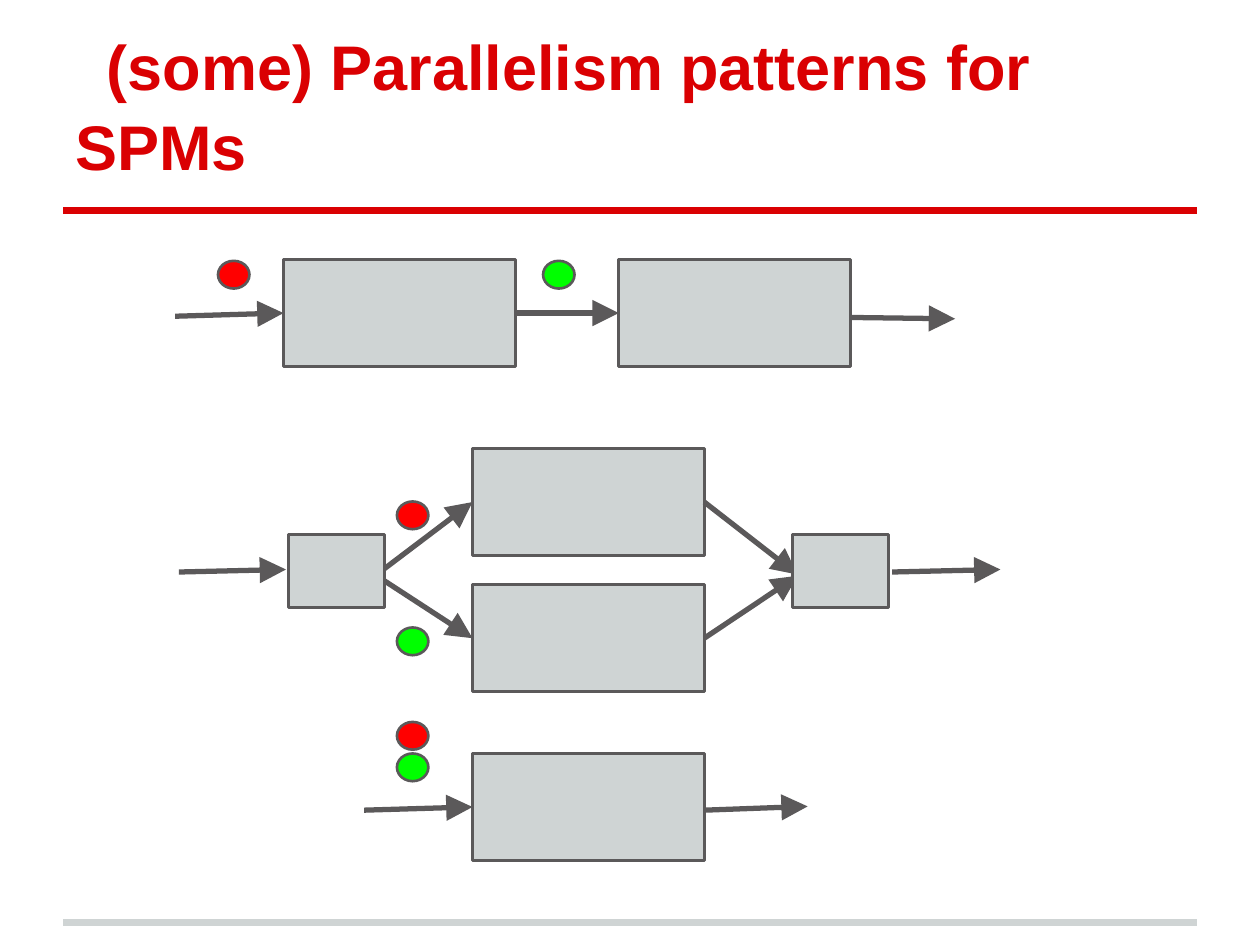
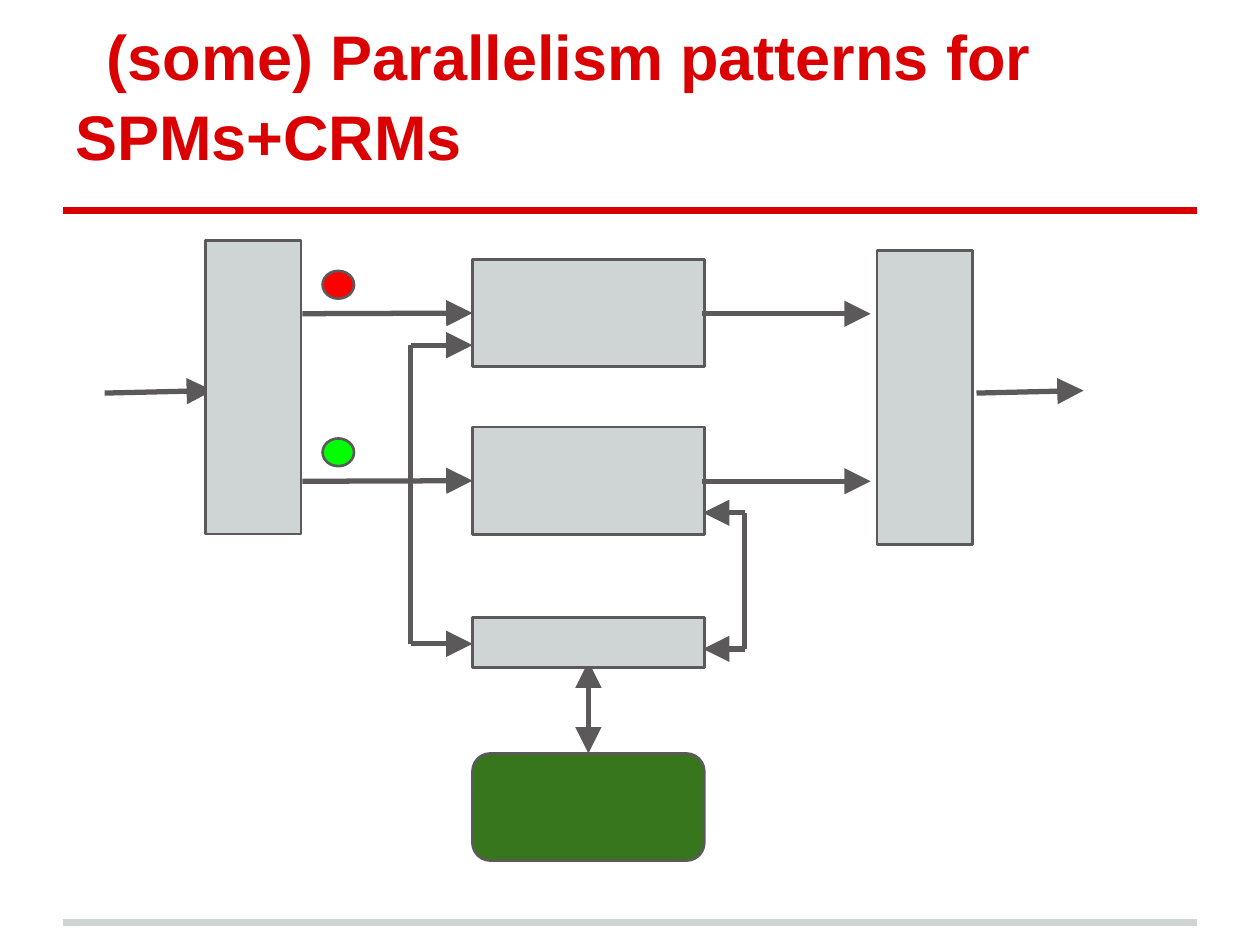
from lxml.etree import SubElement
from pptx import Presentation
from pptx.dml.color import RGBColor
from pptx.enum.shapes import MSO_CONNECTOR, MSO_SHAPE
from pptx.enum.text import MSO_ANCHOR, MSO_AUTO_SIZE, PP_ALIGN
from pptx.oxml.ns import qn
from pptx.util import Inches, Pt

RED = RGBColor(0xDA, 0x00, 0x02)
SILVER = RGBColor(0xCF, 0xD4, 0xD4)
GRAY = RGBColor(0x5B, 0x59, 0x5A)
HOT = RGBColor(0xFF, 0x00, 0x00)
LIME = RGBColor(0x00, 0xFF, 0x00)
GREEN = RGBColor(0x38, 0x76, 0x1D)

LEFT, RIGHT = 1, 3
TOP = 0
STAGE_W, STAGE_H = 1.84, 0.85
GATE_W = 0.76


def add_text(slide, text, x, y, w, h, size=36, color=RED, bold=True, indent=0.25):
    box = slide.shapes.add_textbox(Inches(x), Inches(y), Inches(w), Inches(h))
    frame = box.text_frame
    frame.word_wrap = True
    frame.auto_size = MSO_AUTO_SIZE.SHAPE_TO_FIT_TEXT
    frame.vertical_anchor = MSO_ANCHOR.BOTTOM
    frame.margin_left = frame.margin_right = Inches(0.1)
    frame.margin_top = frame.margin_bottom = Inches(0.1)
    para = frame.paragraphs[0]
    para.alignment = PP_ALIGN.LEFT
    para.line_spacing = 1.05
    props = para._p.get_or_add_pPr()
    props.set("marL", "0")
    props.set("indent", str(Inches(indent)))
    run = para.add_run()
    run.text = text
    font = run.font
    font.name, font.size, font.bold = "Arial", Pt(size), bold
    font.color.rgb = color


def add_box(slide, x, y, w, h, fill=SILVER, kind=MSO_SHAPE.RECTANGLE):
    shape = slide.shapes.add_shape(kind, Inches(x), Inches(y), Inches(w), Inches(h))
    shape.shadow.inherit = False
    shape.fill.solid()
    shape.fill.fore_color.rgb = fill
    shape.line.color.rgb = GRAY
    shape.line.width = Pt(1.5)
    return shape


def add_stage(slide, x, y):
    return add_box(slide, x, y, STAGE_W, STAGE_H)


def add_dot(slide, x, y, fill):
    add_box(slide, x, y, 0.25, 0.22, fill, MSO_SHAPE.OVAL)


def add_line(slide, start, end, color=GRAY, width=3, ends=("tailEnd",)):
    """Draw a line; start and end are each a point or a (shape, side) pair."""
    (x1, y1), (x2, y2) = [p if isinstance(p[0], (int, float)) else (0, 0)
                          for p in (start, end)]
    line = slide.shapes.add_connector(
        MSO_CONNECTOR.STRAIGHT, Inches(x1), Inches(y1), Inches(x2), Inches(y2))
    for point, join in ((start, line.begin_connect), (end, line.end_connect)):
        if not isinstance(point[0], (int, float)):
            join(*point)
    line.line.color.rgb = color
    line.line.width = Pt(width)
    for tag in ends:
        SubElement(line.line._get_or_add_ln(), qn("a:" + tag),
                   type="triangle", w="lg", len="lg")
    SubElement(line._element.spPr, qn("a:effectLst"))


def add_frame(deck, title, top):
    slide = deck.slides.add_slide(deck.slide_layouts[6])
    for y, color in ((7.32, SILVER), (1.67, RED)):
        add_line(slide, (0.5, y), (9.5, y), color, 4, ())
    add_text(slide, title, 0.5, top, 9, 1.25)
    return slide


def add_pipe(slide, x, y):
    """Two stages in a row."""
    first = add_stage(slide, x + 0.86, y)
    second = add_stage(slide, x + 3.52, y)
    add_line(slide, (x, y + 0.45), (first, LEFT))
    add_line(slide, (first, RIGHT), (second, LEFT))
    add_line(slide, (x + 5.37, y + 0.46), (x + 6.19, y + 0.47))
    add_dot(slide, x + 0.34, y + 0.01, HOT)
    add_dot(slide, x + 2.92, y + 0.01, LIME)


def add_farm(slide, x, y):
    """Two stages side by side between a splitter and a merger."""
    mid = y + 1
    add_line(slide, (x, mid - 0.02), (x + 0.85, mid - 0.04))
    for top, port in ((y, mid), (y + 1.08, mid + 0.01)):
        stage = add_stage(slide, x + 2.33, top)
        add_line(slide, (x + 1.57, port), (stage, LEFT))
        add_line(slide, (stage, RIGHT), (x + 4.91, port))
    for left in (x + 0.87, x + 4.87):
        add_box(slide, left, y + 0.68, GATE_W, 0.58)
    add_line(slide, (x + 5.66, mid - 0.02), (x + 6.52, mid - 0.04))
    add_dot(slide, x + 1.73, y + 0.42, HOT)
    add_dot(slide, x + 1.73, y + 1.42, LIME)


def add_batch(slide, x, y):
    """One stage that takes several items at once."""
    stage = add_stage(slide, x + 0.86, y)
    add_line(slide, (x, y + 0.45), (stage, LEFT))
    add_line(slide, (x + 2.7, y + 0.45), (x + 3.52, y + 0.42))
    for top, fill in ((y - 0.25, HOT), (y, LIME)):
        add_dot(slide, x + 0.26, top, fill)


def add_lanes(slide, x, y):
    """Two lanes between a tall splitter and a tall merger."""
    add_line(slide, (x, y + 1.21), (x + 0.86, y + 1.19))
    add_box(slide, x + 0.8, y, GATE_W, 2.33)
    add_box(slide, x + 6.13, y + 0.08, GATE_W, 2.33)
    for top, fill in ((y + 0.15, HOT), (y + 1.48, LIME)):
        stage = add_stage(slide, x + 2.92, top)
        add_line(slide, (x + 1.57, top + 0.43), (stage, LEFT))
        add_line(slide, (x + 4.74, top + 0.43), (x + 6.08, top + 0.43))
        add_dot(slide, x + 1.73, top + 0.09, fill)
    add_line(slide, (x + 6.92, y + 1.21), (x + 7.77, y + 1.19))


def add_store(slide, x, y):
    """A shared store below its access bar."""
    store = add_box(slide, x, y + 1.08, STAGE_W, STAGE_H, GREEN,
                    MSO_SHAPE.ROUNDED_RECTANGLE)
    add_line(slide, (x + STAGE_W / 2, y + 0.35), (store, TOP),
             ends=("headEnd", "tailEnd"))
    add_box(slide, x, y, STAGE_W, 0.4)


def add_loop(slide, side, bend, top, low):
    """A bracket with arrows that joins a stage to the access bar."""
    add_line(slide, (bend, top), (side, top))
    add_line(slide, (bend, top), (bend, low), ends=())
    add_line(slide, (bend, low), (side, low))


def main():
    deck = Presentation()
    deck.slide_width, deck.slide_height = Inches(10), Inches(7.5)

    slide = add_frame(deck, "(some) Parallelism patterns for SPMs", 0.3)
    add_pipe(slide, 1.39, 2.06)
    add_farm(slide, 1.42, 3.56)
    add_batch(slide, 2.89, 5.98)

    slide = add_frame(deck, "(some) Parallelism patterns for SPMs+CRMs", 0.22)
    add_lanes(slide, 0.83, 1.91)
    add_store(slide, 3.75, 4.9)
    add_loop(slide, 3.75, 3.26, 2.74, 5.11)
    add_loop(slide, 5.58, 5.91, 4.07, 5.15)

    deck.save("out.pptx")


if __name__ == "__main__":
    main()
